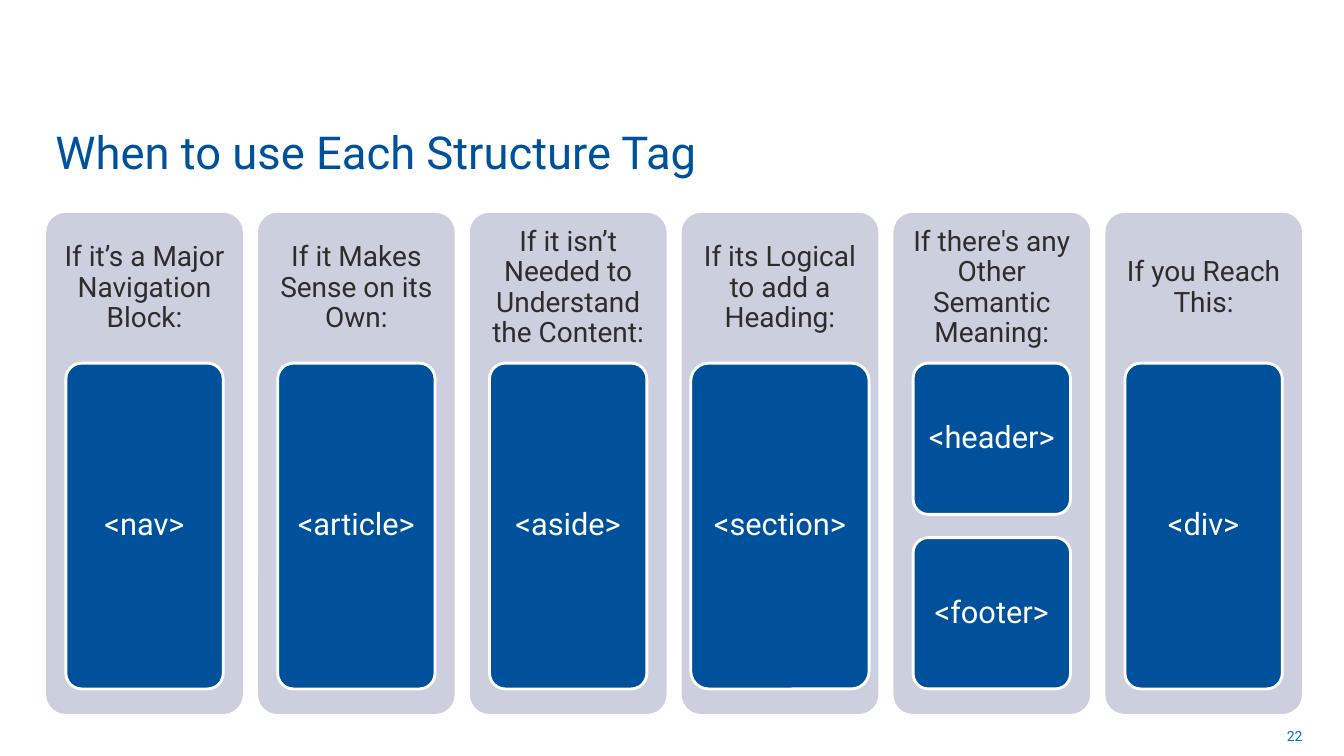
from pptx import Presentation
from pptx.dml.color import RGBColor
from pptx.enum.shapes import MSO_SHAPE
from pptx.enum.text import MSO_ANCHOR, MSO_AUTO_SIZE, PP_ALIGN
from pptx.util import Pt

ROUNDED = MSO_SHAPE.ROUNDED_RECTANGLE
MIDDLE, BOTTOM = MSO_ANCHOR.MIDDLE, MSO_ANCHOR.BOTTOM
LEFT, CENTER, RIGHT = PP_ALIGN.LEFT, PP_ALIGN.CENTER, PP_ALIGN.RIGHT
NO_AUTOFIT = MSO_AUTO_SIZE.NONE

FONT = "Roboto"
BLUE, PANEL, DARK, WHITE, NUMBER_BLUE = "00519C", "CCD0DE", "2E2D2C", "FFFFFF", "0070C0"

TAG_WIDTH = 112.4
WIDE_TAG_WIDTH = 127.4
# Heading, tags, width of the tag boxes
COLUMNS = [
    ("If it’s a Major Navigation Block:", ["<nav>"], TAG_WIDTH),
    ("If it Makes Sense on its Own:", ["<article>"], TAG_WIDTH),
    ("If it isn’t Needed to Understand the Content:", ["<aside>"], TAG_WIDTH),
    ("If its Logical to add a Heading:", ["<section>"], WIDE_TAG_WIDTH),
    ("If there's any Other Semantic Meaning:", ["<header>", "<footer>"], TAG_WIDTH),
    ("If you Reach This:", ["<div>"], TAG_WIDTH),
]


def color(value):
    return RGBColor.from_string(value)


def write(shape, text, size, text_color, align=CENTER, anchor=MIDDLE, spacing=0.9, margin=5.8):
    frame = shape.text_frame
    frame.text = text
    frame.word_wrap = True
    frame.auto_size = NO_AUTOFIT
    frame.vertical_anchor = anchor
    frame.margin_left = frame.margin_right = Pt(margin)
    frame.margin_top = frame.margin_bottom = Pt(min(margin, 3.6))
    paragraph = frame.paragraphs[0]
    paragraph.alignment = align
    paragraph.line_spacing = spacing
    font = paragraph.runs[0].font
    font.name, font.size = FONT, Pt(size)
    font.color.rgb = color(text_color)


def add_rounded(slide, left, top, width, height, fill, line=None):
    shape = slide.shapes.add_shape(ROUNDED, Pt(left), Pt(top), Pt(width), Pt(height))
    shape.adjustments[0] = 0.1
    shape.shadow.inherit = False
    shape.fill.solid()
    shape.fill.fore_color.rgb = color(fill)
    if line:
        shape.line.color.rgb = color(line)
        shape.line.width = Pt(2)
    else:
        shape.line.fill.background()
    return shape


def add_title(slide, left, top, width, height):
    title = slide.shapes.title
    title.left, title.top, title.width, title.height = Pt(left), Pt(top), Pt(width), Pt(height)
    write(title, "When to use Each Structure Tag", 32.4, BLUE, LEFT, BOTTOM, 1.0, 7.2)


def add_column(slide, left, top, width, height, heading, tags, tag_width):
    # Panel with its heading in the top 30 %
    add_rounded(slide, left, top, width, height, PANEL)
    heading_height = height * 0.3
    heading_box = slide.shapes.add_textbox(Pt(left), Pt(top), Pt(width), Pt(heading_height))
    write(heading_box, heading, 20, DARK)

    # Tag boxes share the next 65 %
    gap = 16.6
    tag_height = (height * 0.65 - gap * (len(tags) - 1)) / len(tags)
    tag_left = left + (width - tag_width) / 2
    for index, tag in enumerate(tags):
        tag_top = top + heading_height + index * (tag_height + gap)
        box = add_rounded(slide, tag_left, tag_top, tag_width, tag_height, BLUE, WHITE)
        write(box, tag, 22, WHITE)


def add_columns(slide, left, top, width, height):
    gap = 10.8
    column_width = (width - gap * (len(COLUMNS) - 1)) / len(COLUMNS)
    for index, column in enumerate(COLUMNS):
        add_column(slide, left + index * (column_width + gap), top, column_width, height, *column)


def add_page_number(slide, left, top, width, height):
    box = slide.shapes.add_textbox(Pt(left), Pt(top), Pt(width), Pt(height))
    write(box, "22", 10, NUMBER_BLUE, RIGHT, MIDDLE, 1.0, 7.2)


def main():
    presentation = Presentation()
    presentation.slide_width, presentation.slide_height = Pt(960), Pt(540)
    slide = presentation.slides.add_slide(presentation.slide_layouts[5])
    add_title(slide, 32.4, 81.4, 718.6, 49.7)
    add_columns(slide, 33, 152, 897, 358)
    add_page_number(slide, 713.5, 511.2, 224, 28.8)
    presentation.save("out.pptx")


if __name__ == "__main__":
    main()
